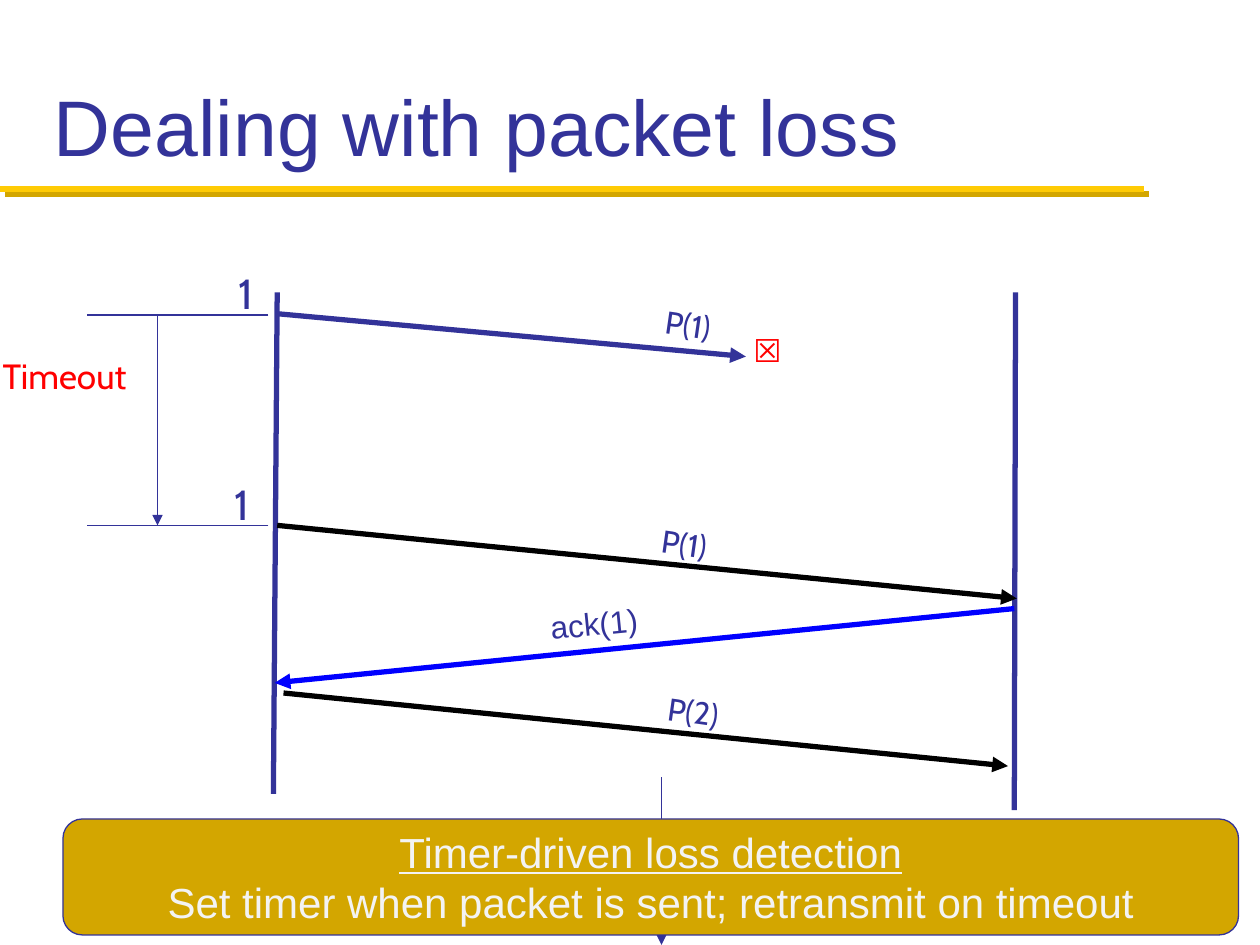
from dataclasses import dataclass

from lxml import etree
from pptx import Presentation
from pptx import util as u
from pptx.dml import color as c
from pptx.enum import shapes, text
from pptx.oxml import ns

INDIGO, GOLD, YELLOW = "333399", "D3A600", "FFCB05"
BLACK, BLUE, RED, PALE = "000000", "0000FF", "FF0000", "F3F3F3"
SENDER_X, RECEIVER_X = 2.2, 8.05
FIRST_SEND, RESEND = 2.5, 4.17
BRACKET_LEFT, BRACKET_RIGHT, TIMER_X = 0.69, 2.13, 1.25


@dataclass
class Line:
    start: tuple
    end: tuple
    width: float = 3
    color: str = INDIGO
    arrow: bool = False
    shadow: str = ""


@dataclass
class Label:
    words: str
    box: tuple
    size: float = 18
    font: str = "Cabin"
    color: str = INDIGO
    rotation: float = 0
    inset: tuple = (0.09, 0.04)
    wrap: bool = False
    anchor: text.MSO_ANCHOR = text.MSO_ANCHOR.TOP
    fit: text.MSO_AUTO_SIZE = text.MSO_AUTO_SIZE.SHAPE_TO_FIT_TEXT


LINES = [
    Line((0, 1.5), (9.08, 1.5), 3.5, YELLOW, shadow=GOLD),
    Line((5.25, 6.17), (5.25, 7.5), 1, arrow=True),
    Line((SENDER_X, 2.32), (2.17, 6.3)),
    Line((8.06, 2.32), (RECEIVER_X, 6.43)),
    Line((SENDER_X, 2.49), (5.92, 2.83), arrow=True),
    Line((SENDER_X, RESEND), (8.07, 4.75), color=BLACK, arrow=True),
    Line((RECEIVER_X, 4.83), (2.18, 5.42), color=BLUE, arrow=True),
    *(Line((BRACKET_RIGHT, y), (BRACKET_LEFT, y), 0.75) for y in (FIRST_SEND, RESEND)),
    Line((TIMER_X, FIRST_SEND), (TIMER_X, RESEND), 0.75, arrow=True),
    Line((2.25, 5.5), (8, 6.08), color=BLACK, arrow=True),
]

LABELS = [
    Label("Dealing with packet loss", (0.33, 0.17, 9.33, 1.25), 45, "Arial",
          inset=(0.1, 0.05), wrap=True, anchor=text.MSO_ANCHOR.BOTTOM,
          fit=text.MSO_AUTO_SIZE.NONE),
    Label("1", (1.8, 2.08, 0.36, 0.49), 24),
    Label("1", (1.77, 3.76, 0.4, 0.49), 24),
    Label("☒", (5.88, 2.58, 0.62, 0.44), font="Arial", color=RED,
          inset=(0.1, 0.05), wrap=True),
    Label("ack(1)", (4.27, 4.73, 1.21, 0.44), font="Arial", rotation=354.3,
          inset=(0.1, 0.05)),
    Label("P(1)", (5.16, 4.13, 0.65, 0.39), rotation=8.1),
    Label("P(1)", (5.19, 2.39, 0.65, 0.39), rotation=8.3),
    Label("P(2)", (5.21, 5.46, 0.65, 0.39), rotation=8.1),
    Label("Timeout", (-0.07, 2.77, 1.29, 0.76), 20, color=RED),
]


def rgb(value: str) -> c.RGBColor:
    return c.RGBColor.from_string(value)


def inches(values: tuple) -> list:
    return [u.Inches(value) for value in values]


def set_all(target, values: dict) -> None:
    for name, value in values.items():
        setattr(target, name, value)


def add_run(paragraph, words: str, size: float, font: str, color: str,
            underline: bool = False) -> None:
    run = paragraph.add_run()
    run.text = words
    set_all(run.font, {"size": u.Pt(size), "name": font, "underline": underline})
    run.font.color.rgb = rgb(color)


def draw_line(slide, line: Line) -> None:
    connector = slide.shapes.add_connector(
        shapes.MSO_CONNECTOR.STRAIGHT, *inches(line.start + line.end))
    connector.line.width = u.Pt(line.width)
    connector.line.color.rgb = rgb(line.color)
    if line.arrow:
        outline = connector.line.color._xFill.getparent()
        etree.SubElement(outline, ns.qn("a:tailEnd"), type="triangle")
    effects = etree.SubElement(connector._element.spPr, ns.qn("a:effectLst"))
    if line.shadow:
        shadow = etree.SubElement(effects, ns.qn("a:outerShdw"), dist=str(u.Pt(4.2)),
                                  dir="2700000", algn="ctr", rotWithShape="0")
        etree.SubElement(shadow, ns.qn("a:srgbClr"), val=line.shadow)


def draw_label(slide, label: Label) -> None:
    shape = slide.shapes.add_textbox(*inches(label.box))
    shape.rotation = label.rotation
    horizontal, vertical = inches(label.inset)
    set_all(shape.text_frame, {
        "margin_left": horizontal, "margin_right": horizontal,
        "margin_top": vertical, "margin_bottom": vertical,
        "word_wrap": label.wrap, "vertical_anchor": label.anchor,
        "auto_size": label.fit,
    })
    add_run(shape.text_frame.paragraphs[0], label.words, label.size, label.font, label.color)


def draw_summary(slide) -> None:
    shape = slide.shapes.add_shape(
        shapes.MSO_SHAPE.ROUNDED_RECTANGLE, *inches((0.5, 6.5, 9.33, 0.92)))
    shape.shadow.inherit = False
    shape.fill.solid()
    shape.fill.fore_color.rgb = rgb(GOLD)
    shape.line.color.rgb = rgb(INDIGO)
    shape.line.width = u.Pt(0.75)
    set_all(shape.text_frame, {
        "word_wrap": False, "vertical_anchor": text.MSO_ANCHOR.MIDDLE})
    paragraph = shape.text_frame.paragraphs[0]
    paragraph.alignment = text.PP_ALIGN.CENTER
    add_run(paragraph, "Timer-driven loss detection", 24, "Arial", PALE, True)
    paragraph.add_line_break()
    add_run(paragraph, "Set timer when packet is sent; retransmit on timeout",
            24, "Arial", PALE)


def main() -> None:
    presentation = Presentation()
    set_all(presentation, {"slide_width": u.Inches(10), "slide_height": u.Inches(7.5)})
    slide = presentation.slides.add_slide(presentation.slide_layouts[6])
    for line in LINES:
        draw_line(slide, line)
    for label in LABELS:
        draw_label(slide, label)
    draw_summary(slide)
    presentation.save("out.pptx")


if __name__ == "__main__":
    main()
